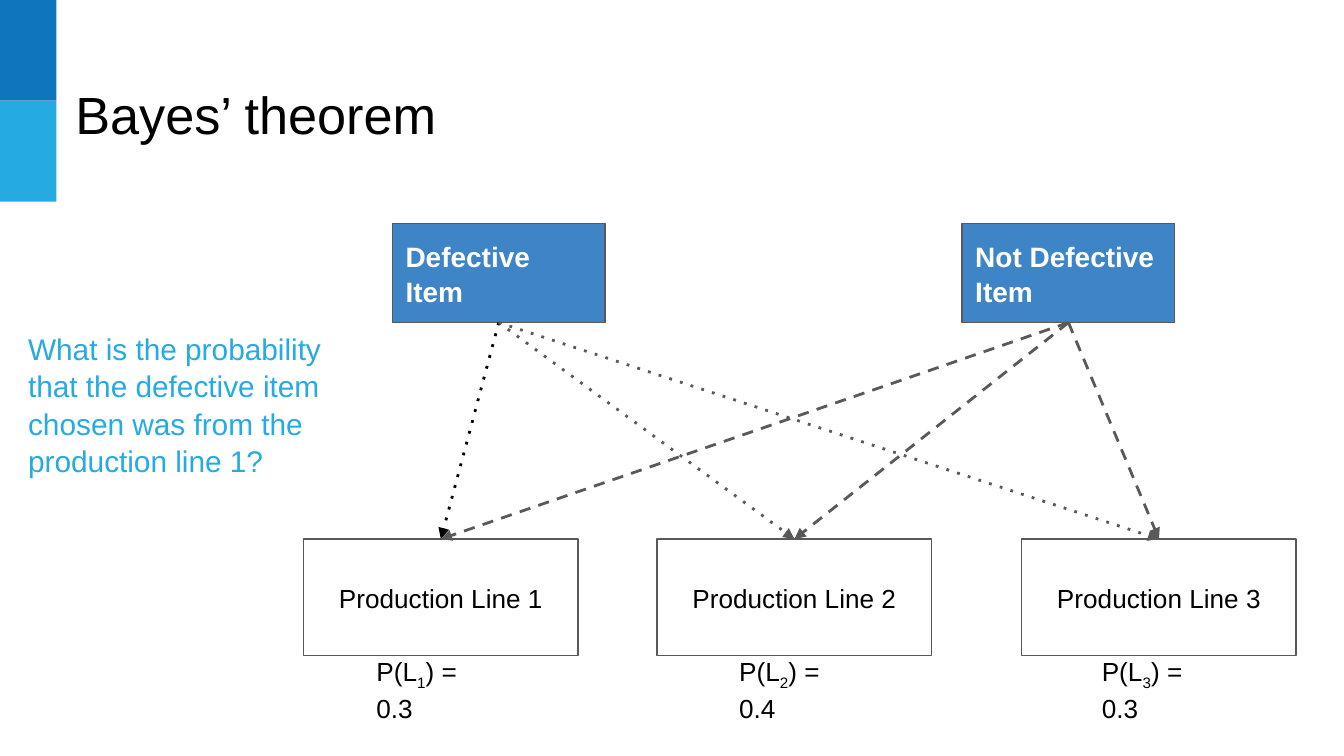
"""Builds the Bayes' theorem slide with two outcomes and three production lines."""
from lxml import etree
from pptx import Presentation
from pptx.dml.color import RGBColor
from pptx.enum import shapes, text
from pptx.oxml import ns
from pptx.util import Pt

GREY, BLACK, SKY = "595959", "000000", "25AAE2"


def color(value):
    return RGBColor.from_string(value)


class SlideBuilder:
    font = "Arial"
    inset = Pt(7.2)
    line_spacing = 1.04

    def __init__(self, slide):
        self.slide = slide

    def add_runs(self, shape, runs, size, ink, bold=False, align=text.PP_ALIGN.LEFT,
                 anchor=text.MSO_ANCHOR.MIDDLE):
        frame = shape.text_frame
        frame.word_wrap = True
        frame.auto_size = text.MSO_AUTO_SIZE.NONE
        frame.vertical_anchor = anchor
        frame.margin_left = frame.margin_right = self.inset
        frame.margin_top = frame.margin_bottom = self.inset
        paragraph = frame.paragraphs[0]
        paragraph.alignment = align
        paragraph.line_spacing = self.line_spacing
        for content, baseline in runs:
            run = paragraph.add_run()
            run.text = content
            run.font.name, run.font.size, run.font.bold = self.font, Pt(size), bold
            run.font.color.rgb = color(ink)
            if baseline:
                run.font._element.set("baseline", str(baseline))

    def title(self, content, left, top, width, height):
        shape = self.slide.shapes.title
        shape.left, shape.top = Pt(left), Pt(top)
        shape.width, shape.height = Pt(width), Pt(height)
        self.add_runs(shape, [(content, 0)], 28, BLACK, anchor=text.MSO_ANCHOR.TOP)

    def box(self, left, top, width, height, fill=None, line=None):
        shape = self.slide.shapes.add_shape(
            shapes.MSO_SHAPE.RECTANGLE, Pt(left), Pt(top), Pt(width), Pt(height))
        shape.shadow.inherit = False
        if fill:
            shape.fill.solid()
            shape.fill.fore_color.rgb = color(fill)
        else:
            shape.fill.background()
        if line:
            shape.line.color.rgb = color(line)
            shape.line.width = Pt(0.75)
        else:
            shape.line.fill.background()
        return shape

    def label(self, runs, left, top, width, height, size, ink, anchor):
        shape = self.slide.shapes.add_textbox(Pt(left), Pt(top), Pt(width), Pt(height))
        self.add_runs(shape, runs, size, ink, anchor=anchor)

    def arrow(self, source, target, ink, dash):
        connector = self.slide.shapes.add_connector(
            shapes.MSO_CONNECTOR.STRAIGHT, 0, 0, 0, 0)
        connector.begin_connect(source, 2)
        connector.end_connect(target, 0)
        connector.line.color.rgb = color(ink)
        connector.line.width = Pt(1.5)
        line = connector.line._get_or_add_ln()
        etree.SubElement(line, ns.qn("a:prstDash"), val=dash)
        etree.SubElement(line, ns.qn("a:tailEnd"), type="triangle")
        etree.SubElement(connector._element.spPr, ns.qn("a:effectLst"))


def main():
    presentation = Presentation()
    presentation.slide_width, presentation.slide_height = Pt(720), Pt(405)
    builder = SlideBuilder(presentation.slides.add_slide(presentation.slide_layouts[5]))

    for row, fill in enumerate(("0F75BD", SKY)):
        builder.box(0, row * 54, 30.2, 54, fill)
    builder.title("Bayes’ theorem", 33.2, 35.3, 530.6, 45.4)

    items = []
    for content, left in (("Defective Item", 210.2), ("Not Defective Item", 515.4)):
        item = builder.box(left, 119.6, 114, 53.2, "3D85C6", GREY)
        builder.add_runs(item, [(content, 0)], 15, "FFFFFF", bold=True)
        items.append(item)

    lines = []
    for number, left in enumerate((162.7, 352.1, 547.4), 1):
        line = builder.box(left, 288.8, 147, 62.4, line=GREY)
        builder.add_runs(line, [(f"Production Line {number}", 0)], 14, BLACK,
                         align=text.PP_ALIGN.CENTER)
        lines.append(line)

    for item, dash in zip(items, ("dot", "dash")):
        for line in lines:
            chosen = item is items[0] and line is lines[0]
            builder.arrow(item, line, BLACK if chosen else GREY, dash)

    for index, probability in enumerate(("0.3", "0.4", "0.3")):
        runs = [("P(L", 0), (str(index + 1), -25000), (f") = {probability}", 0)]
        builder.label(runs, 194.6 + 194.3 * index, 358.6, 79.2, 20.9, 14, BLACK,
                      text.MSO_ANCHOR.MIDDLE)

    question = ("What is the probability that the defective item chosen "
                "was from the production line 1?")
    builder.label([(question, 0)], 8, 169.3, 177, 103.7, 16, SKY, text.MSO_ANCHOR.TOP)
    presentation.save("out.pptx")


if __name__ == "__main__":
    main()
